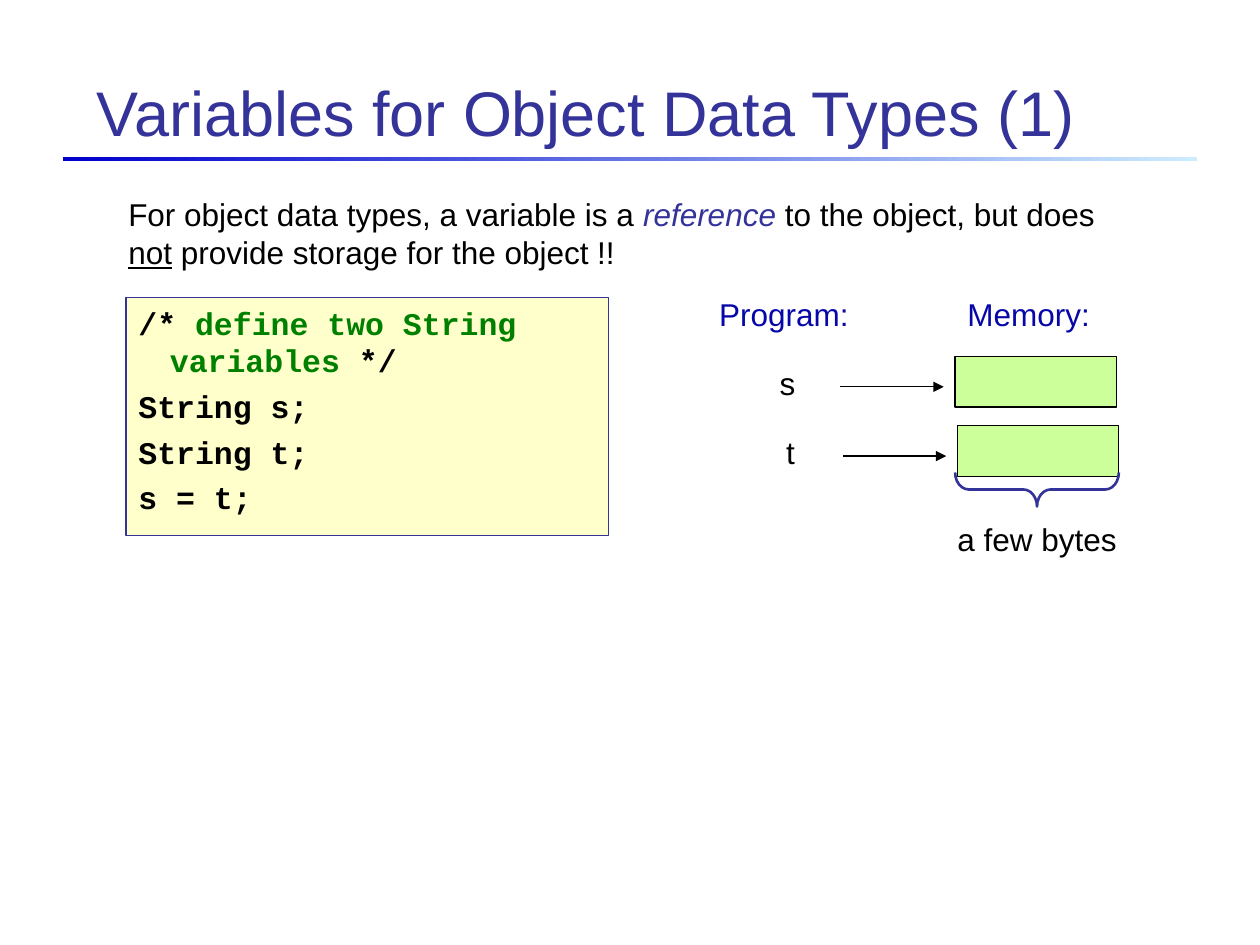
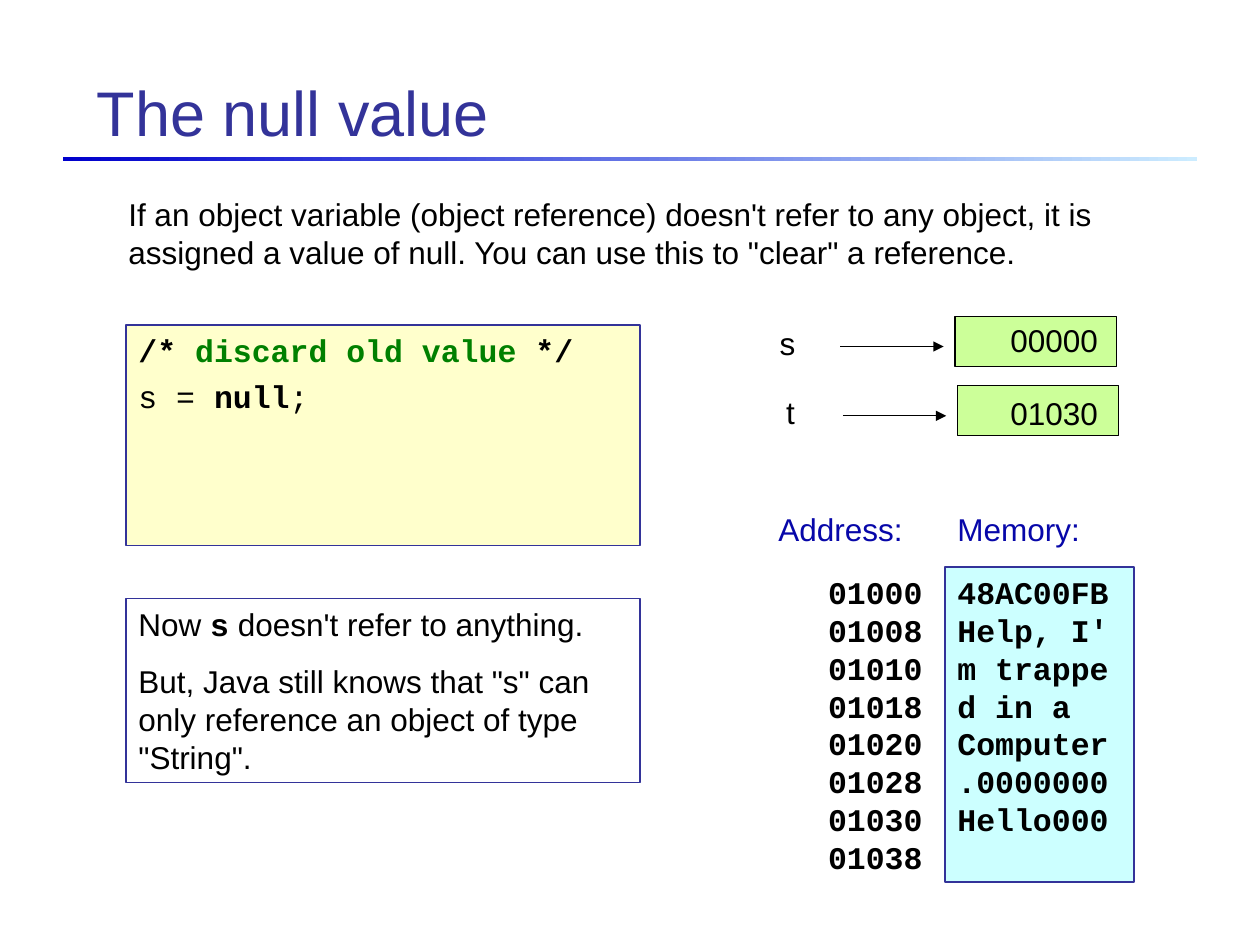
"""Build two slides on object variables and null references in Java."""
from lxml import etree
from pptx import Presentation
from pptx import util as u
from pptx.dml.color import RGBColor
from pptx.enum import shapes, text
from pptx.oxml.ns import qn

INDIGO = RGBColor(0x33, 0x33, 0x99)
BLUE = RGBColor(0x07, 0x07, 0xA9)
BAND_DARK = RGBColor(0x00, 0x00, 0xCC)
BAND_LIGHT = RGBColor(0xCC, 0xEC, 0xFF)
CREAM = RGBColor(0xFF, 0xFF, 0xCC)
LIME = RGBColor(0xCC, 0xFF, 0x99)
AQUA = RGBColor(0xCC, 0xFF, 0xFF)
GREEN = RGBColor(0x00, 0x80, 0x00)
BLACK = RGBColor(0x00, 0x00, 0x00)
SANS, MONO = "Arial", "Courier New"


def add_runs(p, runs, font, size, color, bold):
    """Add plain strings or (string, font attributes) pairs to a paragraph."""
    for item in runs:
        content, style = (item, {}) if isinstance(item, str) else item
        r = p.add_run()
        r.text = content
        r.font.name = style.get("font", font)
        r.font.size = u.Pt(size)
        r.font.bold = style.get("bold", bold)
        r.font.italic = style.get("italic", False)
        r.font.underline = style.get("underline", False)
        r.font.color.rgb = style.get("color", color)


def fill_text(sp, paragraphs, font=SANS, size=18, color=BLACK, bold=False,
              gap=0, hanging=0, align=text.PP_ALIGN.LEFT,
              anchor=text.MSO_ANCHOR.TOP):
    """Write paragraphs, each a list of runs, into a shape."""
    tf = sp.text_frame
    tf.word_wrap = True
    tf.vertical_anchor = anchor
    for i, runs in enumerate(paragraphs):
        p = tf.add_paragraph() if i else tf.paragraphs[0]
        p.alignment = align
        if i and gap:
            p.space_before = u.Pt(gap)
        if hanging:
            pPr = p._p.get_or_add_pPr()
            pPr.set("marL", str(u.Inches(hanging)))
            pPr.set("indent", str(-u.Inches(hanging)))
        add_runs(p, runs, font, size, color, bold)


def add_text(slide, x, y, w, h, paragraphs, **style):
    """Add a wrapping text box."""
    sp = slide.shapes.add_textbox(*map(u.Inches, (x, y, w, h)))
    fill_text(sp, paragraphs, **style)


def add_label(slide, x, y, label, w=1.27, color=BLACK):
    """Add a one-line label."""
    add_text(slide, x, y, w, 0.4, [[label]], color=color)


def add_box(slide, x, y, w, h, fill=None, line=INDIGO):
    """Add a thinly outlined rectangle, unfilled unless a colour is given."""
    sp = slide.shapes.add_shape(shapes.MSO_SHAPE.RECTANGLE,
                                *map(u.Inches, (x, y, w, h)))
    sp.shadow.inherit = False
    if fill is None:
        sp.fill.background()
    else:
        sp.fill.solid()
        sp.fill.fore_color.rgb = fill
    sp.line.color.rgb = line
    sp.line.width = u.Pt(0.75)
    return sp


def add_code(slide, x, y, w, h, lines):
    """Add a cream code panel with hanging indents."""
    sp = add_box(slide, x, y, w, h, CREAM)
    fill_text(sp, lines, font=MONO, bold=True, gap=4.5, hanging=0.25)


def add_arrow(slide, x, y, length):
    """Add a horizontal arrow pointing right."""
    cx = slide.shapes.add_connector(
        shapes.MSO_CONNECTOR.STRAIGHT,
        *map(u.Inches, (x, y, x + length, y)))
    cx.line.color.rgb = BLACK
    cx.line.width = u.Pt(0.75)
    etree.SubElement(cx.line._get_or_add_ln(), qn("a:tailEnd"), type="triangle")
    etree.SubElement(cx._element.spPr, qn("a:effectLst"))


def add_variables(slide, top):
    """Draw variables s and t, each with an arrow to its memory cell."""
    columns = [("s", 6.09, 6.67, 7.58), ("t", 6.14, 6.69, 7.6)]
    for i, (name, label_x, arrow_x, cell_x) in enumerate(columns):
        y = top + 0.55 * i
        add_box(slide, cell_x, y, 1.28, 0.4, LIME, BLACK)
        add_label(slide, label_x, y + 0.01, name, w=0.4)
        add_arrow(slide, arrow_x, y + 0.24, 0.82)


def add_brace(slide, x, y, w, h):
    """Add a brace that opens upward and spans the given area."""
    left, top = x + (w - h) / 2, y + (h - w) / 2
    sp = slide.shapes.add_shape(shapes.MSO_SHAPE.RIGHT_BRACE,
                                *map(u.Inches, (left, top, h, w)))
    sp.rotation = 90
    sp.adjustments[0] = 0.4
    sp.shadow.inherit = False
    sp.fill.background()
    sp.line.color.rgb = INDIGO
    sp.line.width = u.Pt(1.5)


def add_slide(prs, title, intro):
    """Add a slide with the shared title, gradient band and introduction."""
    slide = prs.slides.add_slide(prs.slide_layouts[6])
    band = add_box(slide, 0.5, 1.25, 9, 0.03)
    band.line.fill.background()
    band.fill.gradient()
    band.fill.gradient_angle = 0
    for stop, color in zip(band.fill.gradient_stops, (BAND_DARK, BAND_LIGHT)):
        stop.color.rgb = color
    add_text(slide, 0.67, 0.28, 8.66, 0.95, [[title]], size=36, color=INDIGO,
             anchor=text.MSO_ANCHOR.BOTTOM)
    add_text(slide, 0.92, 1.5, 8.16, 0.7, [intro])
    return slide


def build_variables_slide(prs):
    """Show that object variables hold references."""
    slide = add_slide(prs, "Variables for Object Data Types (1)", [
        "For object data types, a variable is a ",
        ("reference", {"color": INDIGO, "italic": True}),
        " to the object, but does ",
        ("not", {"underline": True}),
        " provide storage for the object !!"])
    add_code(slide, 1, 2.36, 3.83, 1.89, [
        ["/* ", ("define two String variables", {"color": GREEN}), " */"],
        ["String s;"], ["String t;"], ["s = t;"]])
    add_label(slide, 5.61, 2.29, "Program:", color=BLUE)
    add_label(slide, 7.58, 2.29, "Memory:", color=BLUE)
    add_variables(slide, 2.83)
    add_brace(slide, 7.58, 3.75, 1.3, 0.27)
    add_label(slide, 7.5, 4.08, "a few bytes", w=1.53)


def build_null_slide(prs):
    """Show a null reference beside a memory dump."""
    slide = add_slide(prs, "The null value", [
        "If an object variable (object reference) doesn't refer to any object, "
        "it is assigned a value of null. "
        "You can use this to \"clear\" a reference."])
    plain = {"bold": False}
    add_code(slide, 1, 2.58, 4.08, 1.75, [
        ["/* ", ("discard old value", {"color": GREEN}), " */"],
        [("s = ", plain), "null", (";", plain)]])
    add_variables(slide, 2.51)
    add_label(slide, 7.92, 2.5, "00000", w=0.96)
    add_label(slide, 7.92, 3.08, "01030", w=0.96)

    add_label(slide, 6.08, 4, "Address:", color=BLUE)
    add_label(slide, 7.5, 4, "Memory:", color=BLUE)
    contents = ["48AC00FB", "Help, I'", "m trappe", "d in a", "Computer",
                ".0000000", "Hello000"]
    memory = add_box(slide, 7.5, 4.5, 1.5, 2.5, AQUA)
    fill_text(memory, [[row] for row in contents], font=MONO, bold=True)
    addresses = [[f"010{8 * i:02X}"] for i in range(0)] or [
        [row] for row in ("01000", "01008", "01010", "01018",
                          "01020", "01028", "01030", "01038")]
    add_text(slide, 5.92, 4.5, 1.5, 2.5, addresses, font=MONO, bold=True,
             align=text.PP_ALIGN.RIGHT)

    note = add_box(slide, 1, 4.75, 4.08, 1.46)
    fill_text(note, [
        ["Now ", ("s", {"font": MONO, "bold": True}),
         " doesn't refer to anything."],
        ["But, Java still knows that \"s\" can only reference an object "
         "of type \"String\"."]], gap=11.2)


def main():
    """Build and save the presentation."""
    prs = Presentation()
    prs.slide_width, prs.slide_height = u.Inches(10), u.Inches(7.5)
    build_variables_slide(prs)
    build_null_slide(prs)
    prs.save("out.pptx")


if __name__ == "__main__":
    main()
